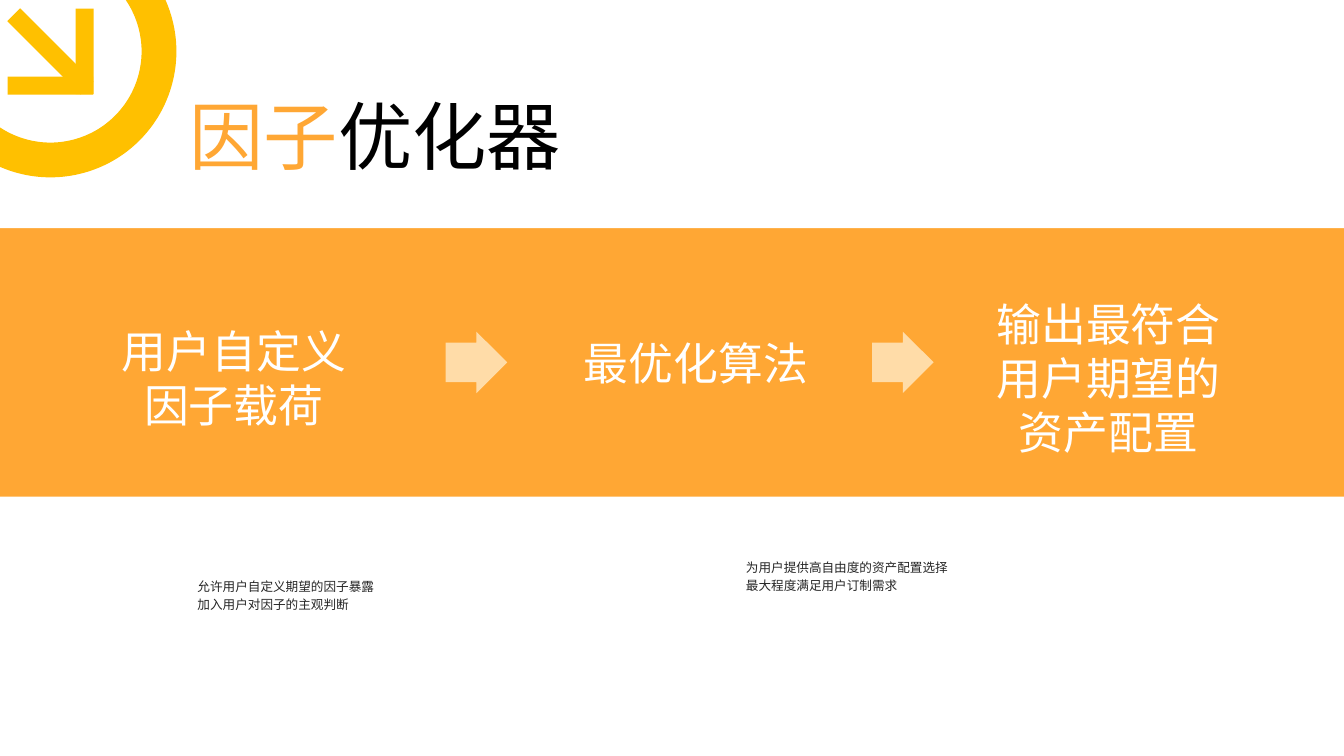
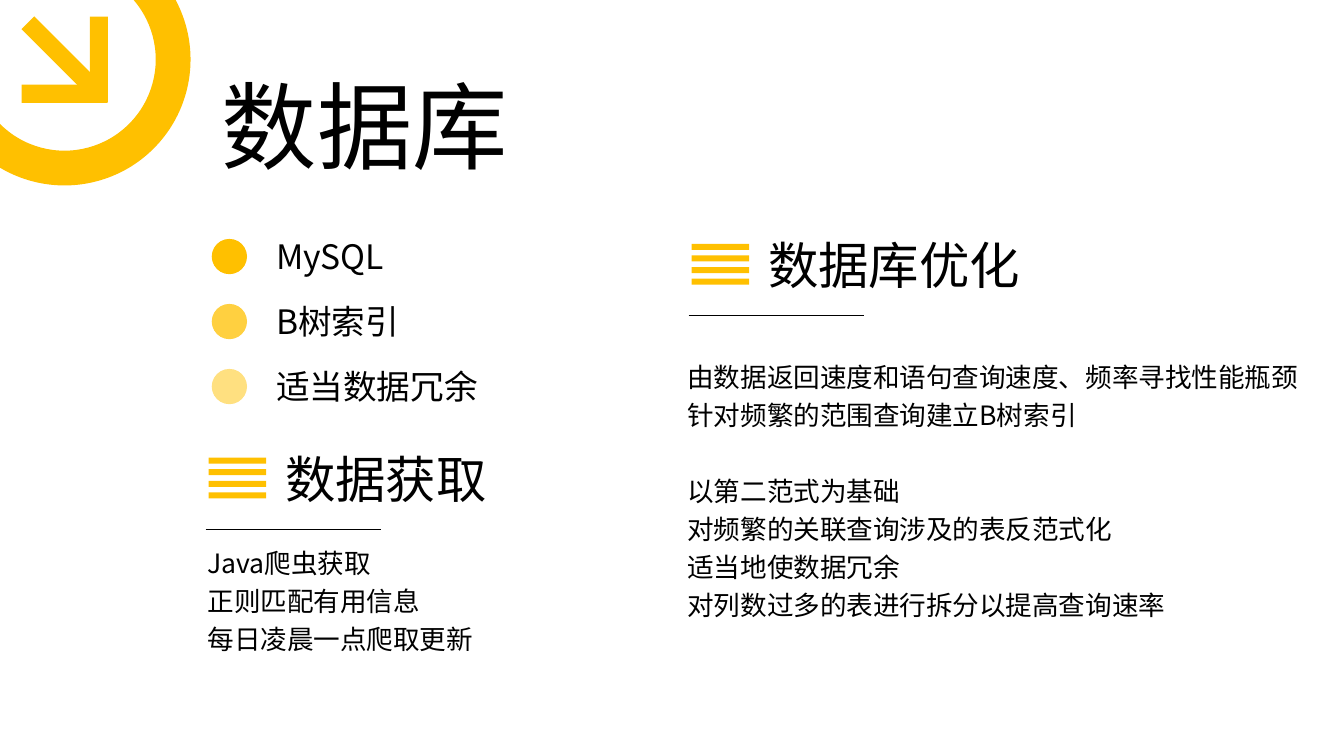
"""Build two slides on a factor optimizer and its database."""
from lxml.etree import SubElement
from pptx import Presentation
from pptx.dml.color import RGBColor
from pptx.enum.shapes import MSO_CONNECTOR, MSO_SHAPE
from pptx.enum.text import MSO_ANCHOR, MSO_AUTO_SIZE, PP_ALIGN
from pptx.oxml.ns import qn
from pptx.util import Inches, Pt

COLORS = {"orange": "FFA734", "pale": "FFDCA8", "gold": "FFC000", "gold_mid": "FFD040",
          "gold_light": "FFE080", "black": "000000", "gray": "262626", "white": "FFFFFF"}
BODY_FONT = "Noto Sans CJK SC"
STEP_FONT = "Calibri"
LINE_PITCH = 1.43

OPTIMIZER = {
    "title": [("因子", "orange"), ("优化器", "black")],
    "title_box": (1.78, 0.84, 6.24, 0.99),
    "title_size": 53,
    "badge_center": (0.5, 0.51),
    "steps": [("用户自定义因子载荷", (0.98, 2.58, 2.68, 2.34)),
              ("最优化算法", (5.59, 2.78, 2.63, 1.64)),
              ("输出最符合用户期望的资产配置", (9.68, 2.17, 2.63, 3.15))],
    "arrow_lefts": (4.42, 8.65),
    "notes": [((1.86, 5.66, 5.72, 0.46),
               ["允许用户自定义期望的因子暴露", "加入用户对因子的主观判断"]),
              ((7.3, 5.48, 5.72, 0.46),
               ["为用户提供高自由度的资产配置选择", "最大程度满足用户订制需求"])],
}
DATABASE = {
    "title": [("数据库", "black")],
    "title_box": (2.1, 0.61, 6.72, 1.25),
    "title_size": 68,
    "badge_center": (0.64, 0.59),
    "features": [("MySQL", "gold"), ("B树索引", "gold_mid"), ("适当数据冗余", "gold_light")],
    "sections": [
        {"heading": "数据获取", "corner": (2.73, 4.39), "box": (1.96, 5.31, 5.17, 1.25),
         "groups": [["Java爬虫获取", "正则匹配有用信息", "每日凌晨一点爬取更新"]]},
        {"heading": "数据库优化", "corner": (7.52, 2.27), "box": (6.72, 3.44, 6.43, 2.79),
         "groups": [["由数据返回速度和语句查询速度、频率寻找性能瓶颈", "针对频繁的范围查询建立B树索引"],
                    ["以第二范式为基础", "对频繁的关联查询涉及的表反范式化",
                     "适当地使数据冗余", "对列数过多的表进行拆分以提高查询速率"]]},
    ],
}


def rgb(color):
    return RGBColor.from_string(COLORS[color])


def add_run(paragraph, text, size, color, font=BODY_FONT):
    run = paragraph.add_run()
    run.text = text
    run.font.size = Pt(size)
    run.font.name = font
    run.font.color.rgb = rgb(color)
    SubElement(run.font._element, qn("a:ea"), typeface=font)


def prepare_frame(frame):
    frame.word_wrap = True
    frame.auto_size = MSO_AUTO_SIZE.NONE
    frame.vertical_anchor = MSO_ANCHOR.MIDDLE


def add_text(slide, box, groups, size, color="black", font=BODY_FONT,
             align=PP_ALIGN.LEFT, pitch=None):
    """Write groups of lines, with one line of space between groups."""
    frame = slide.shapes.add_textbox(*map(Inches, box)).text_frame
    prepare_frame(frame)
    for group_index, lines in enumerate(groups):
        for line_index, line in enumerate(lines):
            first = group_index == line_index == 0
            paragraph = frame.paragraphs[0] if first else frame.add_paragraph()
            paragraph.alignment = align
            if pitch:
                paragraph.line_spacing = Pt(size * pitch)
                if line_index == 0 and not first:
                    paragraph.space_before = Pt(size * pitch)
            add_run(paragraph, line, size, color, font)


def add_block(slide, kind, box, color, adjustments=(), rotation=0):
    block = slide.shapes.add_shape(kind, *map(Inches, box))
    block.shadow.inherit = False
    block.fill.solid()
    block.fill.fore_color.rgb = rgb(color)
    block.line.fill.background()
    block.rotation = rotation
    for index, value in enumerate(adjustments):
        block.adjustments[index] = value
    return block


def add_badge(slide, center):
    """Draw the ring with its diagonal arrow around a center."""
    parts = [(MSO_SHAPE.DONUT, 0, 0, 2.5, 2.5, 0, [0.138]),
             (MSO_SHAPE.RECTANGLE, 0.34, 0, 0.18, 0.85, 0, []),
             (MSO_SHAPE.RECTANGLE, 0, 0.34, 0.85, 0.18, 0, []),
             (MSO_SHAPE.RECTANGLE, 0, 0, 0.18, 1.03, 315, [])]
    for kind, dx, dy, width, height, rotation, adjustments in parts:
        box = (center[0] + dx - width / 2, center[1] + dy - height / 2, width, height)
        add_block(slide, kind, box, "gold", adjustments, rotation)


def add_titled_slide(deck, content):
    slide = deck.slides.add_slide(deck.slide_layouts[5])
    title = slide.shapes.title
    title.left, title.top, title.width, title.height = map(Inches, content["title_box"])
    prepare_frame(title.text_frame)
    paragraph = title.text_frame.paragraphs[0]
    paragraph.alignment = PP_ALIGN.LEFT
    for text, color in content["title"]:
        add_run(paragraph, text, content["title_size"], color)
    add_badge(slide, content["badge_center"])
    return slide


def add_section(slide, section):
    left, top = section["corner"]
    add_text(slide, (left, top, 3.62, 0.71), [[section["heading"]]], 36)
    for row in range(4):
        add_block(slide, MSO_SHAPE.RECTANGLE,
                  (left - 0.66, top + 0.15 + row * 0.115, 0.57, 0.06), "gold")
    rule_left, rule_top = left - 0.69, top + 0.86
    rule = slide.shapes.add_connector(
        MSO_CONNECTOR.STRAIGHT, *map(Inches, (rule_left, rule_top, rule_left + 1.74, rule_top)))
    rule.line.color.rgb = rgb("black")
    rule.line.width = Pt(1)
    SubElement(rule._element.spPr, qn("a:effectLst"))
    add_text(slide, section["box"], section["groups"], 19, pitch=LINE_PITCH)


def build_optimizer(deck):
    slide = add_titled_slide(deck, OPTIMIZER)
    band = add_block(slide, MSO_SHAPE.ROUNDED_RECTANGLE, (-0.28, 2.25, 13.9, 2.69),
                     "orange", [0.075])
    band.line.color.rgb = rgb("white")
    band.line.width = Pt(2)
    for step, box in OPTIMIZER["steps"]:
        add_text(slide, box, [[step]], 32, "white", STEP_FONT, PP_ALIGN.CENTER)
    for left in OPTIMIZER["arrow_lefts"]:
        add_block(slide, MSO_SHAPE.RIGHT_ARROW, (left, 3.29, 0.61, 0.61), "pale", [0.64, 0.5])
    for box, lines in OPTIMIZER["notes"]:
        add_text(slide, box, [lines], 9, "gray", pitch=LINE_PITCH)


def build_database(deck):
    slide = add_titled_slide(deck, DATABASE)
    for row, (feature, color) in enumerate(DATABASE["features"]):
        top = 2.37 + row * 0.645
        add_block(slide, MSO_SHAPE.OVAL, (2.1, top, 0.35, 0.35), color)
        add_text(slide, (2.64, top - 0.08, 3.25, 0.5), [[feature]], 24)
    for section in DATABASE["sections"]:
        add_section(slide, section)


def main():
    deck = Presentation()
    deck.slide_width, deck.slide_height = Inches(13.33), Inches(7.5)
    build_optimizer(deck)
    build_database(deck)
    deck.save("out.pptx")


if __name__ == "__main__":
    main()
